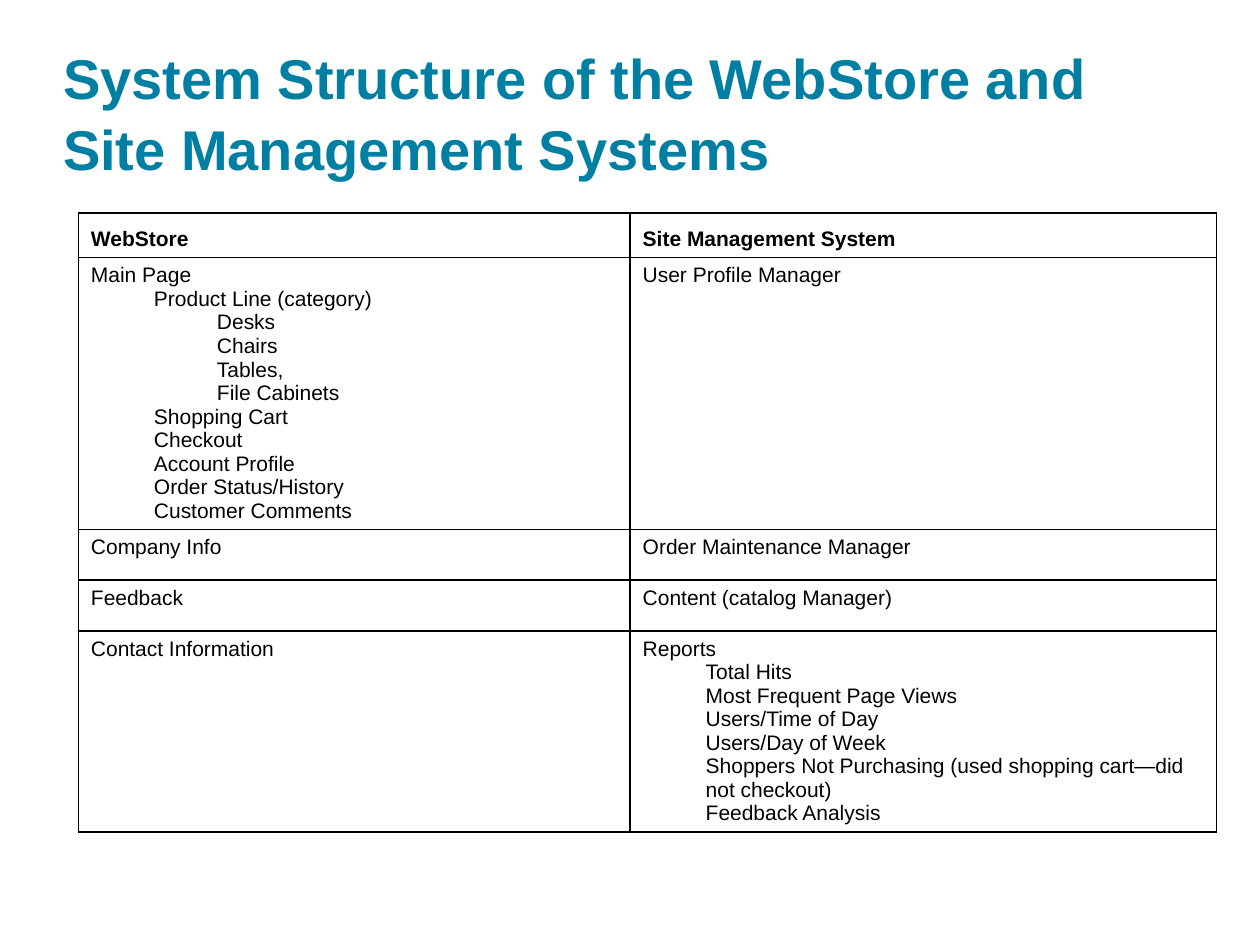
from pptx import Presentation
from pptx.dml.color import RGBColor
from pptx.enum import text
from pptx.oxml import parse_xml
from pptx.oxml import ns
from pptx.util import Pt

FONT = "Arial"
INK = "000000"
TEAL = "007FA3"
INDENT = 36
COLUMN_WIDTHS = [315.3, 335]
ROW_HEIGHTS = [25.5, 155.3, 29, 29, 115]

# Each cell lists its lines as (indent level, wording).
SYSTEMS = [
    ([(0, "WebStore")], [(0, "Site Management System")]),
    (
        [
            (0, "Main Page"),
            (1, "Product Line (category)"),
            (2, "Desks"),
            (2, "Chairs"),
            (2, "Tables,"),
            (2, "File Cabinets"),
            (1, "Shopping Cart"),
            (1, "Checkout"),
            (1, "Account Profile"),
            (1, "Order Status/History"),
            (1, "Customer Comments"),
        ],
        [(0, "User Profile Manager")],
    ),
    ([(0, "Company Info")], [(0, "Order Maintenance Manager")]),
    ([(0, "Feedback")], [(0, "Content (catalog Manager)")]),
    (
        [(0, "Contact Information")],
        [
            (0, "Reports"),
            (1, "Total Hits"),
            (1, "Most Frequent Page Views"),
            (1, "Users/Time of Day"),
            (1, "Users/Day of Week"),
            (1, "Shoppers Not Purchasing (used shopping cart—did not checkout)"),
            (1, "Feedback Analysis"),
        ],
    ),
]


def color(hex_value):
    """Return the colour for a hex string."""
    return RGBColor.from_string(hex_value)


def style_runs(paragraph, size, hex_value, bold):
    """Format every run of a paragraph."""
    for run in paragraph.runs:
        run.font.name = FONT
        run.font.size = Pt(size)
        run.font.bold = bold
        run.font.color.rgb = color(hex_value)


def add_title(slide, wording):
    """Place and format the slide title."""
    title = slide.shapes.title
    title.left, title.top, title.width, title.height = Pt(36), Pt(17.3), Pt(648), Pt(86.4)
    frame = title.text_frame
    frame.text = wording
    frame.word_wrap = True
    frame.auto_size = text.MSO_AUTO_SIZE.NONE
    frame.vertical_anchor = text.MSO_ANCHOR.BOTTOM
    frame.margin_left = frame.margin_right = frame.margin_top = frame.margin_bottom = 0
    heading = frame.paragraphs[0]
    heading.alignment = text.PP_ALIGN.LEFT
    heading.line_spacing = 1.05
    style_runs(heading, 32, TEAL, True)


def add_borders(cell):
    """Draw a thin line on all four sides of a cell."""
    properties = cell._tc.get_or_add_tcPr()
    for position, side in enumerate(("lnL", "lnR", "lnT", "lnB")):
        border = parse_xml(
            f'<a:{side} {ns.nsdecls("a")} w="{Pt(1)}"><a:solidFill>'
            f'<a:srgbClr val="{INK}"/></a:solidFill></a:{side}>'
        )
        properties.insert(position, border)


def fill_cell(cell, lines, is_header):
    """Write the indented lines of one cell."""
    cell.fill.background()
    add_borders(cell)
    cell.vertical_anchor = text.MSO_ANCHOR.BOTTOM if is_header else text.MSO_ANCHOR.TOP
    frame = cell.text_frame
    frame.text = "\n".join(wording for _, wording in lines)
    for paragraph, (level, _) in zip(frame.paragraphs, lines):
        if level:
            paragraph._p.get_or_add_pPr().set("marL", str(Pt(level * INDENT)))
        style_runs(paragraph, 12, INK, is_header)


def add_systems_table(slide):
    """Add the table that compares the two systems."""
    frame = slide.shapes.add_table(
        len(ROW_HEIGHTS), len(COLUMN_WIDTHS), Pt(44.8), Pt(121.7),
        Pt(sum(COLUMN_WIDTHS)), Pt(sum(ROW_HEIGHTS)),
    )
    table = frame.table
    table.horz_banding = False
    table.first_row = False
    for column, width in zip(table.columns, COLUMN_WIDTHS):
        column.width = Pt(width)
    for index, (row, height, contents) in enumerate(zip(table.rows, ROW_HEIGHTS, SYSTEMS)):
        row.height = Pt(height)
        for cell, lines in zip(row.cells, contents):
            fill_cell(cell, lines, index == 0)


def main():
    """Build and save the slide."""
    deck = Presentation()
    deck.slide_width, deck.slide_height = Pt(720), Pt(540)
    slide = deck.slides.add_slide(deck.slide_layouts[5])
    add_title(slide, "System Structure of the WebStore and Site Management Systems")
    add_systems_table(slide)
    deck.save("out.pptx")


if __name__ == "__main__":
    main()
